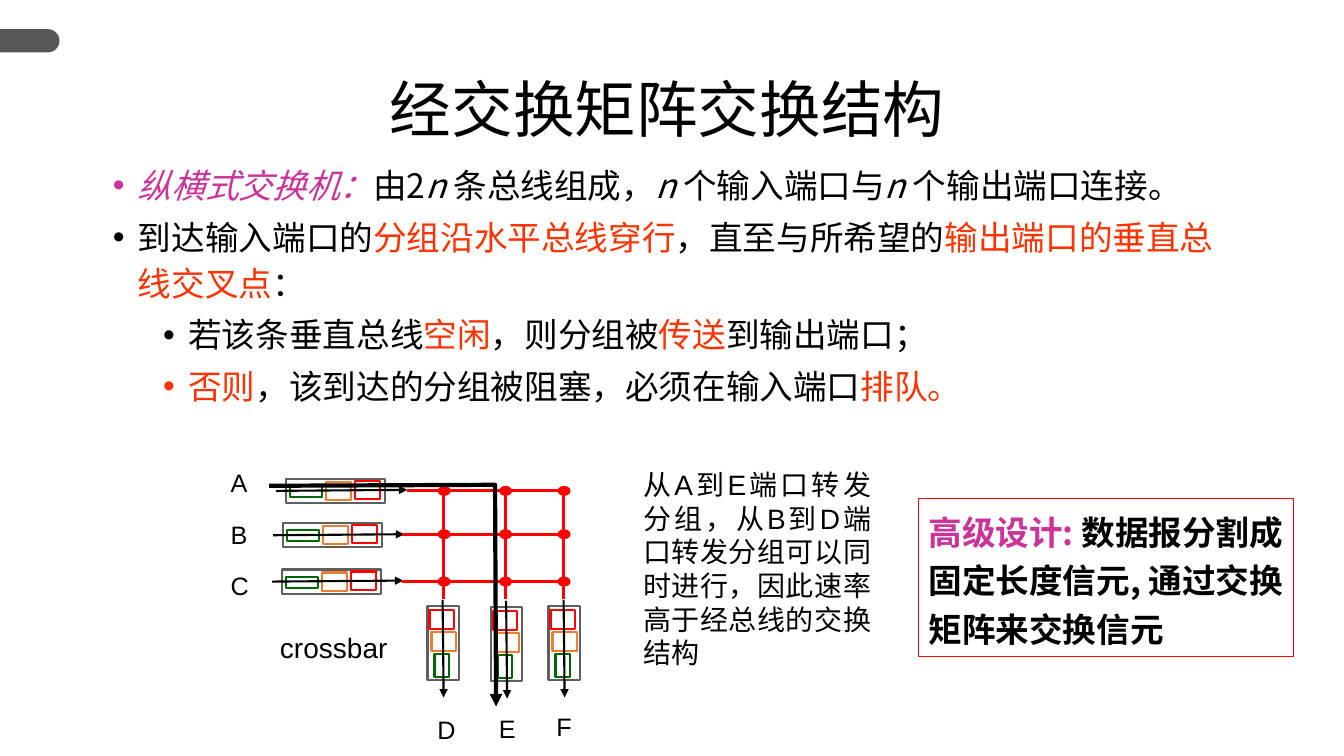
from math import cos, pi, sin

from pptx import Presentation
from pptx.dml.color import RGBColor
from pptx.enum.shapes import MSO_CONNECTOR, MSO_SHAPE
from pptx.enum.text import MSO_ANCHOR, MSO_AUTO_SIZE, PP_ALIGN
from pptx.oxml.ns import qn
from pptx.util import Pt
from lxml.etree import SubElement

EMU_PER_PX = 9144  # 100 px to the inch
ARIAL, NOTO = "Arial", "Noto Sans CJK SC"
BLACK, WHITE, GREY, TAB_GREY = "000000", "FFFFFF", "5F5F5F", "575757"
RED, ORANGE, GREEN = "FF0000", "ED7D31", "006600"
MAGENTA, HIGHLIGHT = "CC3399", "FF3300"


def px(length):
    return round(length * EMU_PER_PX)


def color(hex_string):
    return RGBColor.from_string(hex_string)


def add_bullet(paragraph, margin, indent=25):
    properties = paragraph._p.get_or_add_pPr()
    properties.set("marL", str(px(margin)))
    properties.set("indent", str(px(-indent)))
    SubElement(properties, qn("a:buFont"), typeface=ARIAL)
    SubElement(properties, qn("a:buChar"), char="•")


def write(paragraph, text, font=ARIAL, size=18, fill=BLACK, bold=False, italic=False):
    run = paragraph.add_run()
    run.text = text
    run.font.name, run.font.size = font, Pt(size)
    run.font.bold, run.font.italic = bold, italic
    run.font.color.rgb = color(fill)
    SubElement(run._r.get_or_add_rPr(), qn("a:ea"), typeface=NOTO)


class SlideBuilder:
    def __init__(self, presentation):
        self.slide = presentation.slides.add_slide(presentation.slide_layouts[5])
        self.shapes = self.slide.shapes

    def title(self, text, left, top, width, height):
        shape = self.shapes.title
        shape.left, shape.top = px(left), px(top)
        shape.width, shape.height = px(width), px(height)
        shape.text_frame.vertical_anchor = MSO_ANCHOR.MIDDLE
        paragraph = shape.text_frame.paragraphs[0]
        paragraph.alignment, paragraph.line_spacing = PP_ALIGN.CENTER, 0.9
        write(paragraph, text, size=44)

    def text_box(self, left, top, width, height, wrap=True, grow=True):
        box = self.shapes.add_textbox(px(left), px(top), px(width), px(height))
        frame = box.text_frame
        frame.word_wrap = wrap
        frame.auto_size = MSO_AUTO_SIZE.SHAPE_TO_FIT_TEXT if grow else MSO_AUTO_SIZE.NONE
        return frame

    def label(self, text, left, top, width=34, height=40, size=18,
              align=PP_ALIGN.LEFT, wrap=True):
        paragraph = self.text_box(left, top, width, height, wrap).paragraphs[0]
        paragraph.alignment = align
        write(paragraph, text, size=size)

    def style(self, shape, fill=None, line=None, weight=1.5):
        shape.shadow.inherit = False
        if fill:
            shape.fill.solid()
            shape.fill.fore_color.rgb = color(fill)
        else:
            shape.fill.background()
        if line:
            shape.line.color.rgb = color(line)
            shape.line.width = Pt(weight)
        else:
            shape.line.fill.background()
        return shape

    def shape(self, left, top, width, height, kind=MSO_SHAPE.RECTANGLE, **style):
        shape = self.shapes.add_shape(kind, px(left), px(top), px(width), px(height))
        return self.style(shape, **style)

    def outline(self, points, close=False, arrow=False, **style):
        corners = [(px(x), px(y)) for x, y in points]
        builder = self.shapes.build_freeform(*corners[0], scale=1.0)
        builder.add_line_segments(corners[1:], close=close)
        shape = self.style(builder.convert_to_shape(), **style)
        if arrow:
            self.arrowhead(shape)

    def line(self, x1, y1, x2, y2, fill=BLACK, weight=1.5, arrow=False):
        connector = self.shapes.add_connector(
            MSO_CONNECTOR.STRAIGHT, px(x1), px(y1), px(x2), px(y2))
        connector.line.color.rgb = color(fill)
        connector.line.width = Pt(weight)
        if arrow:
            self.arrowhead(connector)
        SubElement(connector._element.spPr, qn("a:effectLst"))

    def arrowhead(self, shape):
        SubElement(shape.line._get_or_add_ln(), qn("a:tailEnd"), type="triangle")

    def queue(self, left, top, size, packets, arrow):
        """Draw a port buffer; packets and arrow are offsets from its corner."""
        self.shape(left, top, *size, fill=WHITE, line=GREY)
        for (dx, dy, width, height), line in zip(packets, (GREEN, ORANGE, RED)):
            self.shape(left + dx, top + dy, width, height, fill=WHITE, line=line)
        x1, y1, x2, y2 = arrow
        self.line(left + x1, top + y1, left + x2, top + y2, arrow=True)


def main():
    presentation = Presentation()
    presentation.slide_width, presentation.slide_height = px(1333), px(750)
    builder = SlideBuilder(presentation)

    # Tab at the left edge, with a rounded end
    radius, center_x, center_y = 11.5, 47.5, 40.5
    angles = [pi * (step / 24 - 0.5) for step in range(25)]
    end = [(center_x + radius * cos(a), center_y + radius * sin(a)) for a in angles]
    builder.outline([(0, 29), *end, (0, 52)], close=True, fill=TAB_GREY)

    builder.title("经交换矩阵交换结构", 0, 62, 1324, 99)

    # Bulleted explanation
    hot, slanted = {"fill": HIGHLIGHT}, {"italic": True}
    bullets = [
        (25, [("纵横式交换机：", {"fill": MAGENTA, "italic": True}), ("由2", {}),
              ("n ", slanted), ("条总线组成，", {}), ("n ", slanted),
              ("个输入端口与", {}), ("n ", slanted), ("个输出端口连接。", {})]),
        (25, [("到达输入端口的", {}), ("分组沿水平总线穿行", hot),
              ("，直至与所希望的", {}), ("输出端口的垂直总线交叉点", hot), ("：", {})]),
        (75, [("若该条垂直总线", {}), ("空闲", hot), ("，则分组被", {}),
              ("传送", hot), ("到输出端口；", {})]),
        (75, [("否则", hot), ("，该到达的分组被阻塞，必须在输入端口", {}),
              ("排队。", hot)]),
    ]
    frame = builder.text_box(102, 153, 1119, 382, grow=False)
    for index, (margin, runs) in enumerate(bullets):
        paragraph = frame.add_paragraph() if index else frame.paragraphs[0]
        paragraph.line_spacing = 1.15
        if index:
            paragraph.space_before = Pt(3.6)
        add_bullet(paragraph, margin)
        for text, style in runs:
            write(paragraph, text, font=NOTO, size=24, **style)

    # Framed remark
    remark = builder.shape(911, 495, 372, 156, line=RED, weight=0.75).text_frame
    remark.word_wrap, remark.vertical_anchor = True, MSO_ANCHOR.TOP
    paragraph = remark.paragraphs[0]
    paragraph.alignment, paragraph.line_spacing = PP_ALIGN.LEFT, 1.2
    write(paragraph, "高级设计:", font=NOTO, size=24, fill=MAGENTA, bold=True)
    write(paragraph, " 数据报分割成固定长度信元, 通过交换矩阵来交换信元",
          font=NOTO, size=24, bold=True)

    # Input and output queues
    for left, top in ((284, 475), (281, 519), (280, 565)):
        builder.queue(left, top, (98, 24),
                      [(4, 7, 31, 11), (39, 3, 25, 18), (68, 2, 25, 18)],
                      (-10, 12, 120, 11))
    for left, top in ((544, 601), (487, 602), (424, 601)):
        builder.queue(left, top, (31, 74),
                      [(7, 48, 14, 23), (4, 26, 24, 19), (2, 4, 24, 19)],
                      (15, -6, 16, 91))

    # Crossbar buses and their crossing points
    columns, rows = (440, 501, 559), (487, 530, 577)
    for y, start in zip(rows, (404, 399, 399)):
        builder.line(start, y, 560, y, fill=RED, weight=2.25)
    for x in columns:
        builder.line(x, 594, x, 487, fill=RED, weight=2.25)
    for x in columns:
        for y in rows:
            builder.shape(x - 6, y - 5, 13, 10, kind=MSO_SHAPE.OVAL, fill=RED)

    builder.label("crossbar", 267, 621, 128, 44, size=20,
                  align=PP_ALIGN.CENTER, wrap=False)

    # Route from A to E
    builder.outline([(267, 482), (491, 481), (492, 701)], arrow=True,
                    line=BLACK, weight=3)

    # Port names
    for index, name in enumerate("ABC"):
        builder.label(name, 219, 459 + 51 * index)
    for name, left, top in (("D", 424, 704), ("E", 485, 703), ("F", 542, 701)):
        builder.label(name, left, top)

    builder.label("从A到E端口转发分组，从B到D端口转发分组可以同时进行，"
                  "因此速率高于经总线的交换结构",
                  628, 459, 246, 212, size=20, align=PP_ALIGN.JUSTIFY)

    presentation.save("out.pptx")


if __name__ == "__main__":
    main()
